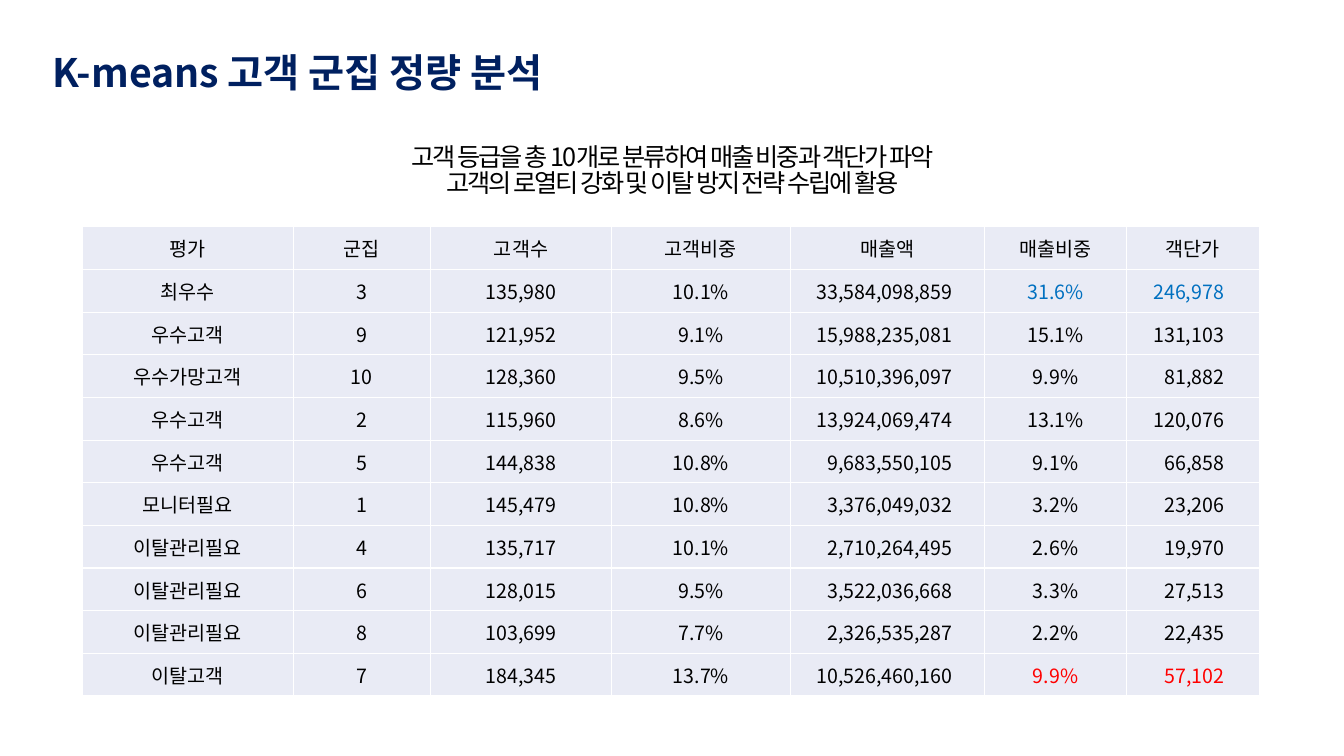
from lxml.etree import SubElement
from pptx import Presentation
from pptx.dml.color import RGBColor
from pptx.enum.text import MSO_ANCHOR, MSO_AUTO_SIZE, PP_ALIGN
from pptx.oxml.ns import qn
from pptx.util import Pt

FONT = "Noto Sans CJK KR"
COLORS = {
    "title": "002060",
    "text": "000000",
    "cell": "E9EBF5",
    "border": "FFFFFF",
    "best": "0070C0",
    "lost": "FF0000",
}
COLUMN_WIDTHS = [150.5, 98, 129.5, 127.5, 139, 101, 95]
ROW_HEIGHT = 30.5
RIGHT_MARGINS = {4: 23, 6: 25}
HIGHLIGHTS = {(1, 5): "best", (1, 6): "best", (10, 5): "lost", (10, 6): "lost"}
CLUSTERS = [
    ["평가", "군집", "고객수", "고객비중", "매출액", "매출비중", "객단가"],
    ["최우수", "3", "135,980", "10.1%", "33,584,098,859", "31.6%", "246,978"],
    ["우수고객", "9", "121,952", "9.1%", "15,988,235,081", "15.1%", "131,103"],
    ["우수가망고객", "10", "128,360", "9.5%", "10,510,396,097", "9.9%", "81,882"],
    ["우수고객", "2", "115,960", "8.6%", "13,924,069,474", "13.1%", "120,076"],
    ["우수고객", "5", "144,838", "10.8%", "9,683,550,105", "9.1%", "66,858"],
    ["모니터필요", "1", "145,479", "10.8%", "3,376,049,032", "3.2%", "23,206"],
    ["이탈관리필요", "4", "135,717", "10.1%", "2,710,264,495", "2.6%", "19,970"],
    ["이탈관리필요", "6", "128,015", "9.5%", "3,522,036,668", "3.3%", "27,513"],
    ["이탈관리필요", "8", "103,699", "7.7%", "2,326,535,287", "2.2%", "22,435"],
    ["이탈고객", "7", "184,345", "13.7%", "10,526,460,160", "9.9%", "57,102"],
]


def write_text(paragraph, text, size=14, color="text", bold=False,
               align=PP_ALIGN.CENTER, line_spacing=None, tracking=None):
    """Write formatted text into a paragraph."""
    paragraph.alignment = align
    paragraph.line_spacing = line_spacing
    run = paragraph.add_run()
    run.text = text
    run.font.name = FONT
    run.font.size = Pt(size)
    run.font.bold = bold
    run.font.color.rgb = RGBColor.from_string(COLORS[color])
    properties = run._r.get_or_add_rPr()
    SubElement(properties, qn("a:ea"), typeface=FONT)
    if tracking is not None:
        properties.set("spc", str(round(tracking * 100)))


def add_title(slide, text):
    """Place and fill the title placeholder."""
    title = slide.shapes.title
    title.left, title.top, title.width, title.height = Pt(30), Pt(34), Pt(661), Pt(39)
    frame = title.text_frame
    frame.vertical_anchor = MSO_ANCHOR.MIDDLE
    frame.auto_size = MSO_AUTO_SIZE.SHAPE_TO_FIT_TEXT
    write_text(frame.paragraphs[0], text, size=28, color="title", bold=True,
               align=PP_ALIGN.LEFT, line_spacing=0.9)


def add_summary(slide, lines):
    """Add the centred summary lines above the table."""
    frame = slide.shapes.add_textbox(Pt(33), Pt(101), Pt(895), Pt(51)).text_frame
    frame.word_wrap = True
    frame.auto_size = MSO_AUTO_SIZE.SHAPE_TO_FIT_TEXT
    for index, line in enumerate(lines):
        paragraph = frame.add_paragraph() if index else frame.paragraphs[0]
        write_text(paragraph, line, size=18, line_spacing=0.85, tracking=-1.5)


def set_borders(cell):
    """Draw thin lines on all four sides of a cell."""
    properties = cell._tc.get_or_add_tcPr()
    for position, side in enumerate(["lnL", "lnR", "lnT", "lnB"]):
        line = properties.makeelement(qn(f"a:{side}"), {"w": str(Pt(1))})
        fill = SubElement(line, qn("a:solidFill"))
        SubElement(fill, qn("a:srgbClr"), val=COLORS["border"])
        properties.insert(position, line)


def fill_cell(cell, text, row, column):
    """Format one table cell, right-aligning amounts below the header."""
    is_amount = row > 0 and column in RIGHT_MARGINS
    cell.margin_left = cell.margin_top = cell.margin_bottom = Pt(0)
    cell.margin_right = Pt(RIGHT_MARGINS[column] if is_amount else 0)
    cell.vertical_anchor = MSO_ANCHOR.MIDDLE
    cell.fill.solid()
    cell.fill.fore_color.rgb = RGBColor.from_string(COLORS["cell"])
    set_borders(cell)
    write_text(cell.text_frame.paragraphs[0], text,
               color=HIGHLIGHTS.get((row, column), "text"),
               align=PP_ALIGN.RIGHT if is_amount else PP_ALIGN.CENTER)


def add_cluster_table(slide):
    """Add the table of customer clusters."""
    table = slide.shapes.add_table(
        len(CLUSTERS), len(COLUMN_WIDTHS), Pt(59), Pt(162),
        Pt(sum(COLUMN_WIDTHS)), Pt(ROW_HEIGHT * len(CLUSTERS))).table
    table.first_row = table.horz_banding = False
    for column, width in enumerate(COLUMN_WIDTHS):
        table.columns[column].width = Pt(width)
    for row, values in enumerate(CLUSTERS):
        table.rows[row].height = Pt(ROW_HEIGHT)
        for column, text in enumerate(values):
            fill_cell(table.cell(row, column), text, row, column)


def main():
    """Build and save the slide."""
    presentation = Presentation()
    presentation.slide_width, presentation.slide_height = Pt(960), Pt(540)
    slide = presentation.slides.add_slide(presentation.slide_layouts[5])
    add_title(slide, "K-means 고객 군집 정량 분석")
    add_summary(slide, ["고객 등급을 총 10개로 분류하여 매출 비중과 객단가 파악",
                        "고객의 로열티 강화 및 이탈 방지 전략 수립에 활용"])
    add_cluster_table(slide)
    presentation.save("out.pptx")


if __name__ == "__main__":
    main()
